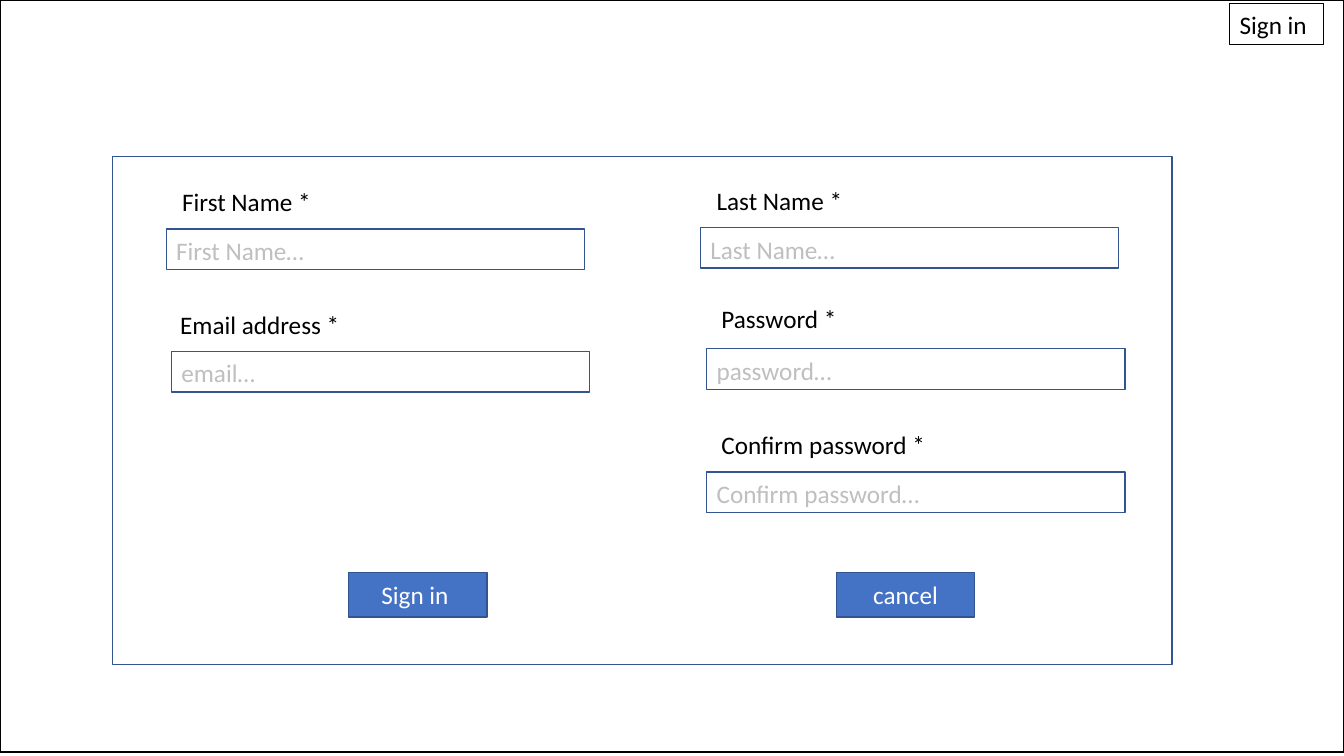
"""Build a slide with the wireframe of an account sign-in form."""
from dataclasses import dataclass

from pptx import Presentation
from pptx.dml.color import RGBColor
from pptx.enum.shapes import MSO_SHAPE
from pptx.enum.text import MSO_ANCHOR, MSO_AUTO_SIZE, PP_ALIGN
from pptx.util import Cm, Pt


@dataclass(frozen=True)
class Theme:
    font: str = "Calibri"
    text_size: float = 18
    ink: str = "000000"
    hint: str = "BFBFBF"
    paper: str = "FFFFFF"
    accent: str = "4472C4"
    border: str = "325491"
    border_width: float = 1
    thin_width: float = 0.75


THEME = Theme()
SLIDE_SIZE = (33.87, 19.05)
FORM_PANEL = (2.84, 3.94, 26.7, 12.8)
PAGE_FRAME = (0, 0, 33.87, 18.95)
HEADER_LINK = ("Sign in ", (30.99, 0.1, 2.36, 1.02))

FIELD_SIZE = (10.54, 1.02)
HINT_SIZE = (5.99, 1.02)
HINT_DROP = 0.03
LABEL_HEIGHT = 1.02
FIELDS = [
    {"label": "First Name *", "label_at": (4.34, 4.57), "label_width": 3.78,
     "hint": "First Name…", "field_at": (4.19, 5.77)},
    {"label": "Last Name *", "label_at": (17.81, 4.55), "label_width": 3.71,
     "hint": "Last Name…", "field_at": (17.65, 5.74)},
    {"label": "Email address *", "label_at": (4.29, 7.67), "label_width": 4.57,
     "hint": "email…", "field_at": (4.32, 8.86)},
    {"label": "Password *", "label_at": (17.93, 7.52), "label_width": 3.45,
     "hint": "password…", "field_at": (17.81, 8.79)},
    {"label": "Confirm password *", "label_at": (17.93, 10.69), "label_width": 5.72,
     "hint": "Confirm password…", "field_at": (17.81, 11.89)},
]

BUTTON_TOP = 14.43
BUTTON_SIZE = (3.48, 1.12)
BUTTONS = [("Sign in ", 8.79), ("cancel", 21.08)]


def add_box(slide, box, fill=None, line=THEME.border, width=THEME.border_width):
    shape = slide.shapes.add_shape(MSO_SHAPE.RECTANGLE, *map(Cm, box))
    shape.shadow.inherit = False
    if fill:
        shape.fill.solid()
        shape.fill.fore_color.rgb = RGBColor.from_string(fill)
    else:
        shape.fill.background()
    shape.line.color.rgb = RGBColor.from_string(line)
    shape.line.width = Pt(width)
    return shape


def write(shape, text, color, align=PP_ALIGN.LEFT, anchor=MSO_ANCHOR.TOP,
          wrap=True, fit=MSO_AUTO_SIZE.SHAPE_TO_FIT_TEXT):
    frame = shape.text_frame
    frame.text = text
    frame.word_wrap = wrap
    frame.auto_size = fit
    frame.vertical_anchor = anchor
    paragraph = frame.paragraphs[0]
    paragraph.alignment = align
    font = paragraph.runs[0].font
    font.name = THEME.font
    font.size = Pt(THEME.text_size)
    font.color.rgb = RGBColor.from_string(color)


def add_text(slide, box, text, color, wrap=True):
    write(slide.shapes.add_textbox(*map(Cm, box)), text, color, wrap=wrap)


def add_field(slide, field):
    label_box = (*field["label_at"], field["label_width"], LABEL_HEIGHT)
    add_text(slide, label_box, field["label"], THEME.ink, wrap=False)
    left, top = field["field_at"]
    add_box(slide, (left, top, *FIELD_SIZE), THEME.paper)
    add_text(slide, (left, top + HINT_DROP, *HINT_SIZE), field["hint"], THEME.hint)


def add_button(slide, text, left):
    button = add_box(slide, (left, BUTTON_TOP, *BUTTON_SIZE), THEME.accent)
    write(button, text, THEME.paper, PP_ALIGN.CENTER, MSO_ANCHOR.MIDDLE,
          fit=MSO_AUTO_SIZE.NONE)


def main():
    presentation = Presentation()
    presentation.slide_width, presentation.slide_height = map(Cm, SLIDE_SIZE)
    slide = presentation.slides.add_slide(presentation.slide_layouts[6])

    add_box(slide, FORM_PANEL, THEME.paper)
    add_box(slide, PAGE_FRAME, line=THEME.ink)
    link_text, link_box = HEADER_LINK
    header_link = add_box(slide, link_box, line=THEME.ink, width=THEME.thin_width)
    write(header_link, link_text, THEME.ink, wrap=False)

    for field in FIELDS:
        add_field(slide, field)
    for text, left in BUTTONS:
        add_button(slide, text, left)

    presentation.save("out.pptx")


main()
